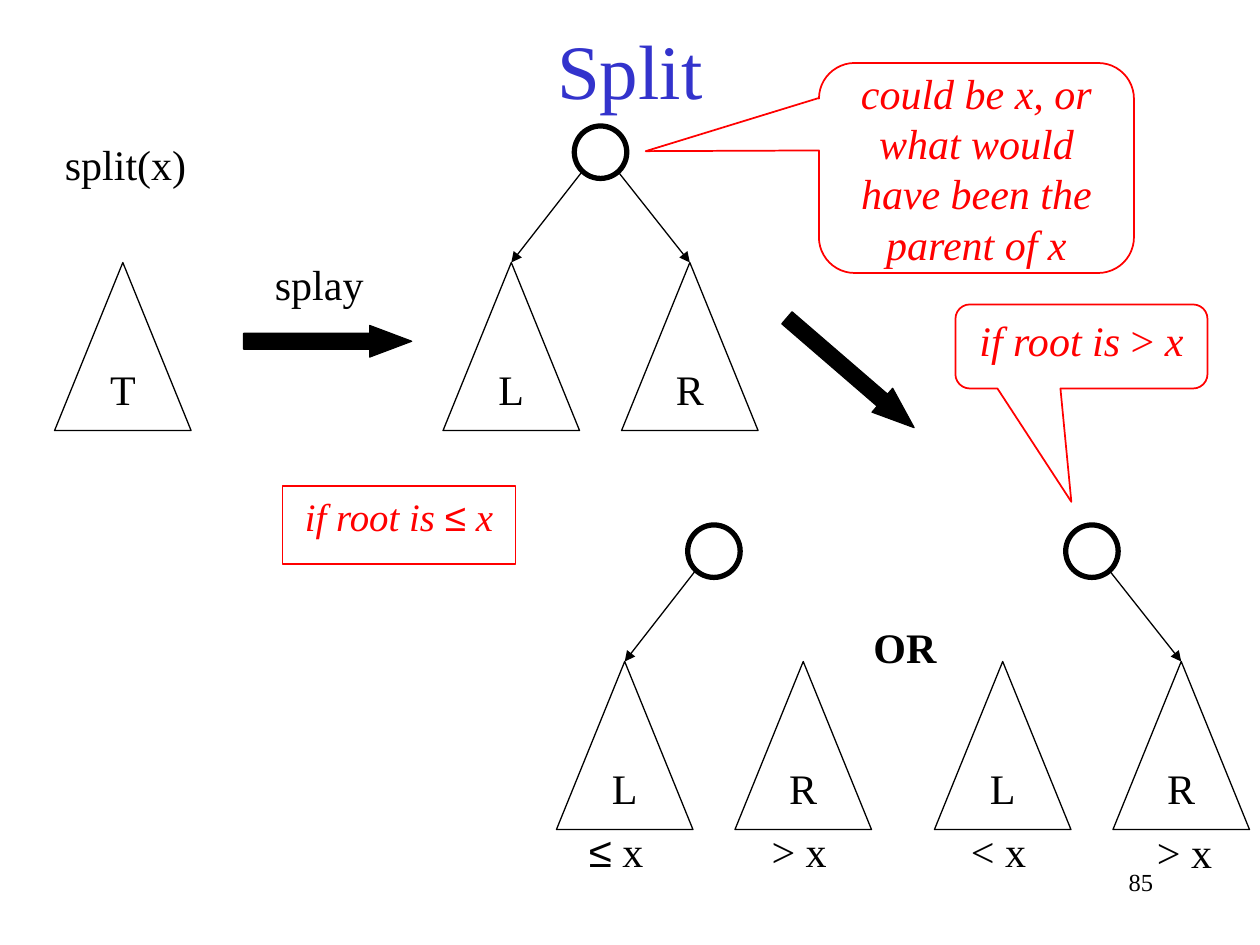
from dataclasses import dataclass

from lxml.etree import SubElement
from pptx import Presentation
from pptx.dml.color import RGBColor
from pptx.enum.shapes import MSO_CONNECTOR, MSO_SHAPE
from pptx.enum.text import MSO_ANCHOR, MSO_AUTO_SIZE, PP_ALIGN
from pptx.oxml.ns import qn
from pptx.util import Pt

EMU_PER_PX = 7620  # 120 px to the inch


@dataclass(frozen=True)
class Theme:
    black: RGBColor = RGBColor(0, 0, 0)
    blue: RGBColor = RGBColor(0x33, 0x33, 0xCC)
    red: RGBColor = RGBColor(0xFF, 0, 0)
    font: str = "Times New Roman"
    symbol_font: str = "Arial"
    title_size: float = 44
    body_size: float = 24
    condition_size: float = 22.2
    number_size: float = 14
    thin: float = 0.75
    note_line: float = 1
    root_line: float = 3


THEME = Theme()

TREE_WIDTH, TREE_HEIGHT = 130, 160
TREE_STEP = 170
ROOT_SIZE = 50
ROOT_OFFSET = (125, -130)


def px(*values):
    return [round(value * EMU_PER_PX) for value in values]


def write_text(shape, runs, size=THEME.body_size, color=THEME.black, bold=False,
               align=PP_ALIGN.LEFT, anchor=MSO_ANCHOR.TOP, wrap=False, indent=0):
    """Fill the only paragraph; each run is (text, font name, italic)."""
    frame = shape.text_frame
    frame.word_wrap = wrap
    frame.vertical_anchor = anchor
    paragraph = frame.paragraphs[0]
    paragraph.alignment = align
    if indent:
        properties = paragraph._p.get_or_add_pPr()
        properties.set("marL", str(indent * EMU_PER_PX))
        properties.set("indent", "0")
    for text, font_name, italic in runs:
        run = paragraph.add_run()
        run.text = text
        run.font.name = font_name
        run.font.size = Pt(size)
        run.font.color.rgb = color
        run.font.bold = bold
        run.font.italic = italic


def plain(text):
    return [(text, THEME.font, False)]


def slanted(text):
    return [(text, THEME.font, True)]


def add_text_box(slide, box, runs, **style):
    text_box = slide.shapes.add_textbox(*px(*box))
    write_text(text_box, runs, **style)
    return text_box


def add_label(slide, box, runs, **style):
    """Add a one-line text box that grows with its text."""
    label = add_text_box(slide, box, runs, **style)
    label.text_frame.auto_size = MSO_AUTO_SIZE.SHAPE_TO_FIT_TEXT


def add_outline(slide, kind, box, line_width, color=THEME.black, adjustments=()):
    shape = slide.shapes.add_shape(kind, *px(*box))
    shape.shadow.inherit = False
    shape.fill.background()
    shape.line.color.rgb = color
    shape.line.width = Pt(line_width)
    for index, value in enumerate(adjustments):
        shape.adjustments[index] = value
    return shape


def add_note(slide, kind, box, runs, adjustments=(), **style):
    shape = add_outline(slide, kind, box, THEME.note_line, THEME.red, adjustments)
    write_text(shape, runs, color=THEME.red, align=PP_ALIGN.CENTER, wrap=True, **style)


def add_block_arrow(slide, left, top, rotation=0):
    arrow = add_outline(slide, MSO_SHAPE.RIGHT_ARROW, (left, top, 160, 30),
                        THEME.thin, adjustments=(0.5, 1.33))
    arrow.fill.solid()
    arrow.fill.fore_color.rgb = THEME.black
    arrow.rotation = rotation


def add_tree(slide, left, top, name):
    triangle = add_outline(slide, MSO_SHAPE.ISOSCELES_TRIANGLE,
                           (left, top, TREE_WIDTH, TREE_HEIGHT), THEME.thin)
    write_text(triangle, plain(name), align=PP_ALIGN.CENTER, anchor=MSO_ANCHOR.MIDDLE)


def add_edge(slide, start, end):
    edge = slide.shapes.add_connector(MSO_CONNECTOR.STRAIGHT, *px(*start, *end))
    edge.line.color.rgb = THEME.black
    edge.line.width = Pt(THEME.thin)
    SubElement(edge.line._get_or_add_ln(), qn("a:tailEnd"), type="triangle")
    SubElement(edge._element.spPr, qn("a:effectLst"))


def add_rooted_pair(slide, left, top, linked):
    """Draw a root above trees L and R, with edges to the trees named in linked."""
    root_left, root_top = left + ROOT_OFFSET[0], top + ROOT_OFFSET[1]
    add_outline(slide, MSO_SHAPE.OVAL, (root_left, root_top, ROOT_SIZE, ROOT_SIZE),
                THEME.root_line)
    for index, name in enumerate("LR"):
        tree_left = left + index * TREE_STEP
        add_tree(slide, tree_left, top, name)
        if name in linked:
            start = (root_left + 7 + index * 35, root_top + 44)
            add_edge(slide, start, (tree_left + TREE_WIDTH // 2, top))


def add_conditions(slide):
    add_note(slide, MSO_SHAPE.ROUNDED_RECTANGULAR_CALLOUT, (780, 60, 300, 200),
             slanted("could be x, or what would have been the parent of x"),
             (-1.05, -0.08, 0.17), anchor=MSO_ANCHOR.MIDDLE)
    start, end = slanted("if root is "), slanted(" x")
    add_note(slide, MSO_SHAPE.RECTANGLE, (269, 463, 222, 74),
             start + [("≤", THEME.symbol_font, False)] + end, size=THEME.condition_size)
    add_note(slide, MSO_SHAPE.ROUNDED_RECTANGULAR_CALLOUT, (910, 290, 240, 80),
             start + plain(">") + end, (-0.04, 1.85, 0.17))


def main():
    presentation = Presentation()
    presentation.slide_width, presentation.slide_height = px(1200, 900)
    slide = presentation.slides.add_slide(presentation.slide_layouts[6])

    add_text_box(slide, (860, 820, 250, 60), plain("85"), size=THEME.number_size,
                 align=PP_ALIGN.RIGHT, wrap=True)
    add_text_box(slide, (90, -10, 1020, 150), plain("Split"), size=THEME.title_size,
                 color=THEME.blue, align=PP_ALIGN.CENTER, anchor=MSO_ANCHOR.MIDDLE,
                 wrap=True)
    add_label(slide, (50, 126, 140, 60), plain("split(x)"))

    add_tree(slide, 52, 250, "T")
    add_label(slide, (249, 240, 110, 60), plain("splay"), align=PP_ALIGN.CENTER)
    add_block_arrow(slide, 232, 310)
    add_rooted_pair(slide, 422, 250, linked="LR")
    add_block_arrow(slide, 730, 340, rotation=40.8)

    add_rooted_pair(slide, 530, 630, linked="L")
    add_label(slide, (820, 586, 84, 60), plain("OR"), bold=True)
    add_rooted_pair(slide, 890, 630, linked="R")

    add_label(slide, (489, 780, 145, 60),
              [("≤", THEME.symbol_font, False)] + plain(" x"), indent=60)
    add_label(slide, (1030, 781, 137, 60), plain("> x"), indent=60)
    for left, text in ((723, "> x"), (913, "< x")):
        add_label(slide, (left, 780, 77, 60), plain(text))
    add_conditions(slide)

    presentation.save("out.pptx")


if __name__ == "__main__":
    main()
